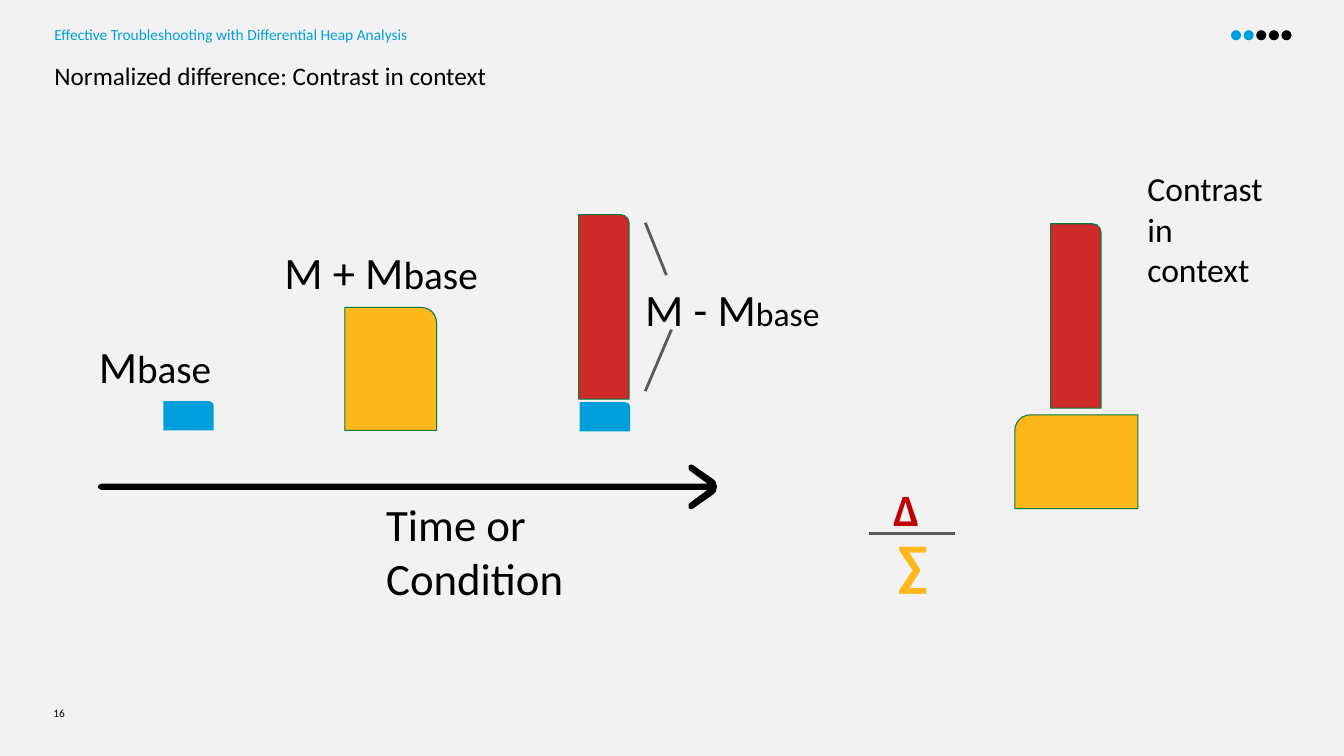
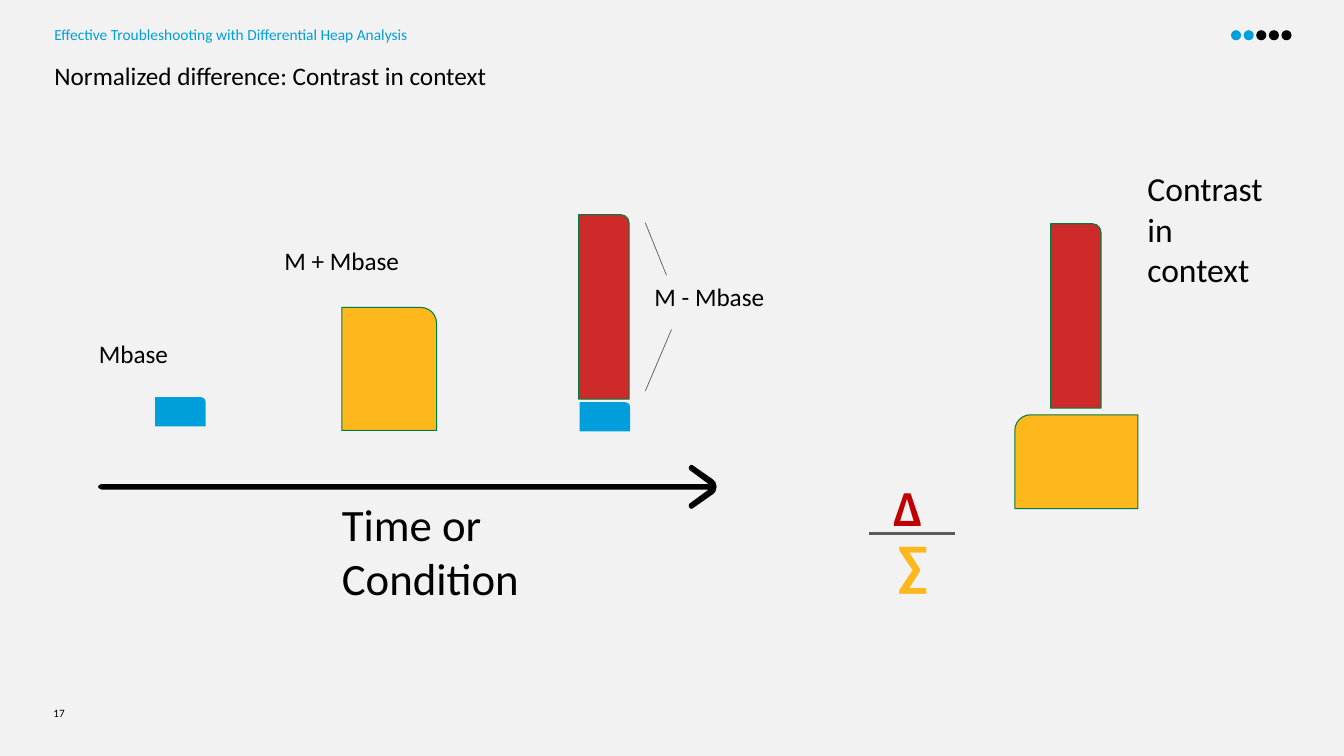
"""Build two slides that explain the normalized difference of heap measurements."""
from dataclasses import dataclass
from typing import Any, Optional

import lxml.etree
import pptx
import pptx.dml.color
import pptx.enum.shapes
import pptx.enum.text
import pptx.oxml.ns
import pptx.slide
import pptx.util

Inches = pptx.util.Inches
Pt = pptx.util.Pt
SHAPE = pptx.enum.shapes.MSO_SHAPE

FONT = "Calibri"
COLORS = {
    "background": "F2F2F2",
    "text": "000000",
    "base": "009FDB",
    "difference": "CF2A2A",
    "sum": "FFB81C",
    "outline": "007A3E",
    "rule": "5A5A5A",
    "delta": "C00000",
}
FRAME_FORMAT = {
    "margin_left": 0,
    "margin_top": 0,
    "margin_right": 0,
    "margin_bottom": 0,
    "word_wrap": True,
    "auto_size": pptx.enum.text.MSO_AUTO_SIZE.NONE,
    "vertical_anchor": pptx.enum.text.MSO_ANCHOR.TOP,
}
TITLE_PARAGRAPH = {
    "alignment": pptx.enum.text.PP_ALIGN.LEFT,
    "line_spacing": 1.1,
    "space_after": Pt(10),
}
NUMBER_PARAGRAPH = {"line_spacing": Pt(10)}
HEADER = "Effective Troubleshooting with Differential Heap Analysis"
TITLE = "Normalized difference: Contrast in context"
PROGRESS_STEPS, PROGRESS_DONE = 5, 2
ARROW_AXIS = 483
ARROW_UPPER_HALF = [(99, 0), (101, -1), (706, -1), (704, -4), (685, -18),
                    (685, -20), (686, -20), (706, -6), (708, -4), (709, 0)]


@dataclass(frozen=True)
class Box:
    """Position and size in inches."""
    left: float
    top: float
    width: float
    height: float

    def lengths(self) -> list[int]:
        """Return the four values as lengths."""
        return [Inches(v) for v in (self.left, self.top, self.width, self.height)]


@dataclass(frozen=True)
class Label:
    """Text made of (wording, size) runs in one colour."""
    box: Box
    runs: tuple[tuple[str, float], ...]
    color: str = "text"
    bold: bool = False


@dataclass(frozen=True)
class Bar:
    """Measurement bar with one rounded corner."""
    box: Box
    color: str
    outline: Optional[str] = "outline"
    rotation: float = 0


@dataclass(frozen=True)
class Rule:
    """Straight line from (x1, y1) to (x2, y2) in inches."""
    x1: float
    y1: float
    x2: float
    y2: float
    weight: float


@dataclass(frozen=True)
class Variant:
    """Parts that differ from slide to slide."""
    number: int
    labels: tuple[Label, ...]
    bars: tuple[Bar, ...]
    arrow_weight: float
    bracket_weight: float


SHARED_LABELS = (
    Label(Box(0.54, 0.25, 12.26, 0.2), ((HEADER, 11),), "base"),
    Label(Box(11.38, 1.67, 1.25, 1.36), (("Contrast in context", 24),)),
    Label(Box(8.9, 5.25, 0.47, 0.44), (("∑", 40),), "sum", True),
)
SHARED_BARS = (
    Bar(Box(5.75, 3.99, 0.5, 0.29), "base", None),
    Bar(Box(5.74, 2.13, 0.5, 1.83), "difference"),
    Bar(Box(10.42, 2.22, 0.5, 1.83), "difference"),
    Bar(Box(10.21, 3.97, 0.93, 1.22), "sum", rotation=270),
)
VARIANTS = (
    Variant(
        16,
        (
            Label(Box(3.83, 4.93, 2.16, 0.63), (("Time or Condition", 32),)),
            Label(Box(2.82, 2.43, 2.09, 0.35), (("M + M", 32), ("base", 28))),
            Label(Box(0.98, 3.36, 1.37, 0.35), (("M", 32), ("base", 28))),
            Label(Box(6.4, 2.79, 1.76, 0.36), (("M - M", 32), ("base", 24))),
            Label(Box(8.86, 4.78, 0.57, 0.43), (("∆", 32),), "delta", True),
        ),
        (
            Bar(Box(1.62, 3.98, 0.5, 0.29), "base", None),
            Bar(Box(3.42, 3.05, 0.91, 1.22), "sum"),
        ),
        arrow_weight=3,
        bracket_weight=2,
    ),
    Variant(
        17,
        (
            Label(Box(3.39, 4.93, 2.6, 0.63), (("Time or Condition", 32),)),
            Label(Box(2.82, 2.43, 1.35, 0.35), (("M + Mbase", 18),)),
            Label(Box(0.98, 3.36, 0.9, 0.35), (("Mbase", 18),)),
            Label(Box(6.49, 2.79, 1.25, 0.36), (("M - Mbase", 18),)),
            Label(Box(8.86, 4.72, 0.57, 0.43), (("∆", 36),), "delta", True),
        ),
        (
            Bar(Box(1.54, 3.94, 0.5, 0.29), "base", None),
            Bar(Box(3.39, 3.05, 0.94, 1.22), "sum"),
        ),
        arrow_weight=2.5,
        bracket_weight=0.5,
    ),
)


def rgb(name: str) -> pptx.dml.color.RGBColor:
    """Look up a named colour."""
    return pptx.dml.color.RGBColor.from_string(COLORS[name])


def apply_format(target: Any, values: dict[str, Any]) -> None:
    """Set each named attribute on the target."""
    for attribute, value in values.items():
        setattr(target, attribute, value)


def write_label(holder: Any, label: Label, paragraph_format: dict[str, Any]) -> None:
    """Place and fill a text holder."""
    places = zip(("left", "top", "width", "height"), label.box.lengths())
    apply_format(holder, dict(places))
    apply_format(holder.text_frame, FRAME_FORMAT)
    paragraph = holder.text_frame.paragraphs[0]
    apply_format(paragraph, paragraph_format)
    for wording, size in label.runs:
        run = paragraph.add_run()
        run.text = wording
        apply_format(run.font, {"name": FONT, "size": Pt(size), "bold": label.bold})
        run.font.color.rgb = rgb(label.color)


def add_label(slide: pptx.slide.Slide, label: Label,
              paragraph_format: Optional[dict[str, Any]] = None) -> None:
    """Add a text box."""
    write_label(slide.shapes.add_textbox(*label.box.lengths()), label,
                paragraph_format or {})


def paint(shape: Any, fill: str, outline: Optional[str], weight: float = 0.75) -> None:
    """Give a shape a flat fill and an optional outline."""
    shape.shadow.inherit = False
    shape.fill.solid()
    shape.fill.fore_color.rgb = rgb(fill)
    if outline is None:
        shape.line.fill.background()
    else:
        shape.line.color.rgb = rgb(outline)
        shape.line.width = Pt(weight)


def add_bar(slide: pptx.slide.Slide, bar: Bar) -> None:
    """Add a measurement bar."""
    column = slide.shapes.add_shape(SHAPE.ROUND_1_RECTANGLE, *bar.box.lengths())
    column.rotation = bar.rotation
    paint(column, bar.color, bar.outline)


def add_rule(slide: pptx.slide.Slide, rule: Rule) -> None:
    """Add a straight line without a shadow."""
    ends = [Inches(v) for v in (rule.x1, rule.y1, rule.x2, rule.y2)]
    line = slide.shapes.add_connector(pptx.enum.shapes.MSO_CONNECTOR.STRAIGHT, *ends)
    line.line.color.rgb = rgb("rule")
    line.line.width = Pt(rule.weight)
    lxml.etree.SubElement(line._element.spPr, pptx.oxml.ns.qn("a:effectLst"))


def add_progress(slide: pptx.slide.Slide) -> None:
    """Add the row of progress dots."""
    for step in range(PROGRESS_STEPS):
        place = Box(12.21 + 0.125 * step, 0.3, 0.1, 0.1)
        dot = slide.shapes.add_shape(SHAPE.OVAL, *place.lengths())
        paint(dot, "base" if step < PROGRESS_DONE else "text", None)


def add_time_arrow(slide: pptx.slide.Slide, weight: float) -> None:
    """Add the time arrow, mirrored about its axis."""
    lower_half = [(x, -y) for x, y in reversed(ARROW_UPPER_HALF[1:-1])]
    points = [(x, ARROW_AXIS + y) for x, y in ARROW_UPPER_HALF + lower_half]
    outline = slide.shapes.build_freeform(*points[0], scale=Inches(0.01))
    outline.add_line_segments(points[1:], close=True)
    arrow = outline.convert_to_shape()
    paint(arrow, "text", "text", weight)
    lxml.etree.SubElement(arrow.line._get_or_add_ln(), pptx.oxml.ns.qn("a:round"))


def add_contrast_slide(deck: Any, variant: Variant) -> None:
    """Add one complete slide."""
    slide = deck.slides.add_slide(deck.slide_layouts.get_by_name("Title Only"))
    title = Label(Box(0.54, 0.57, 12.26, 0.37), ((TITLE, 18),))
    write_label(slide.shapes.title, title, TITLE_PARAGRAPH)
    number = Label(Box(0.53, 7, 0.32, 0.25), ((str(variant.number), 8),))
    add_label(slide, number, NUMBER_PARAGRAPH)
    add_progress(slide)
    for label in SHARED_LABELS + variant.labels:
        add_label(slide, label)
    for bar in SHARED_BARS + variant.bars:
        add_bar(slide, bar)
    add_time_arrow(slide, variant.arrow_weight)
    for rule in (
        Rule(8.62, 5.29, 9.47, 5.29, 2),
        Rule(6.4, 2.21, 6.61, 2.73, variant.bracket_weight),
        Rule(6.66, 3.27, 6.4, 3.88, variant.bracket_weight),
    ):
        add_rule(slide, rule)


def main() -> None:
    """Build and save the deck."""
    deck = pptx.Presentation()
    deck.slide_width, deck.slide_height = Inches(13.33), Inches(7.5)
    backdrop = deck.slide_master.background.fill
    backdrop.solid()
    backdrop.fore_color.rgb = rgb("background")
    for variant in VARIANTS:
        add_contrast_slide(deck, variant)
    deck.save("out.pptx")


if __name__ == "__main__":
    main()
